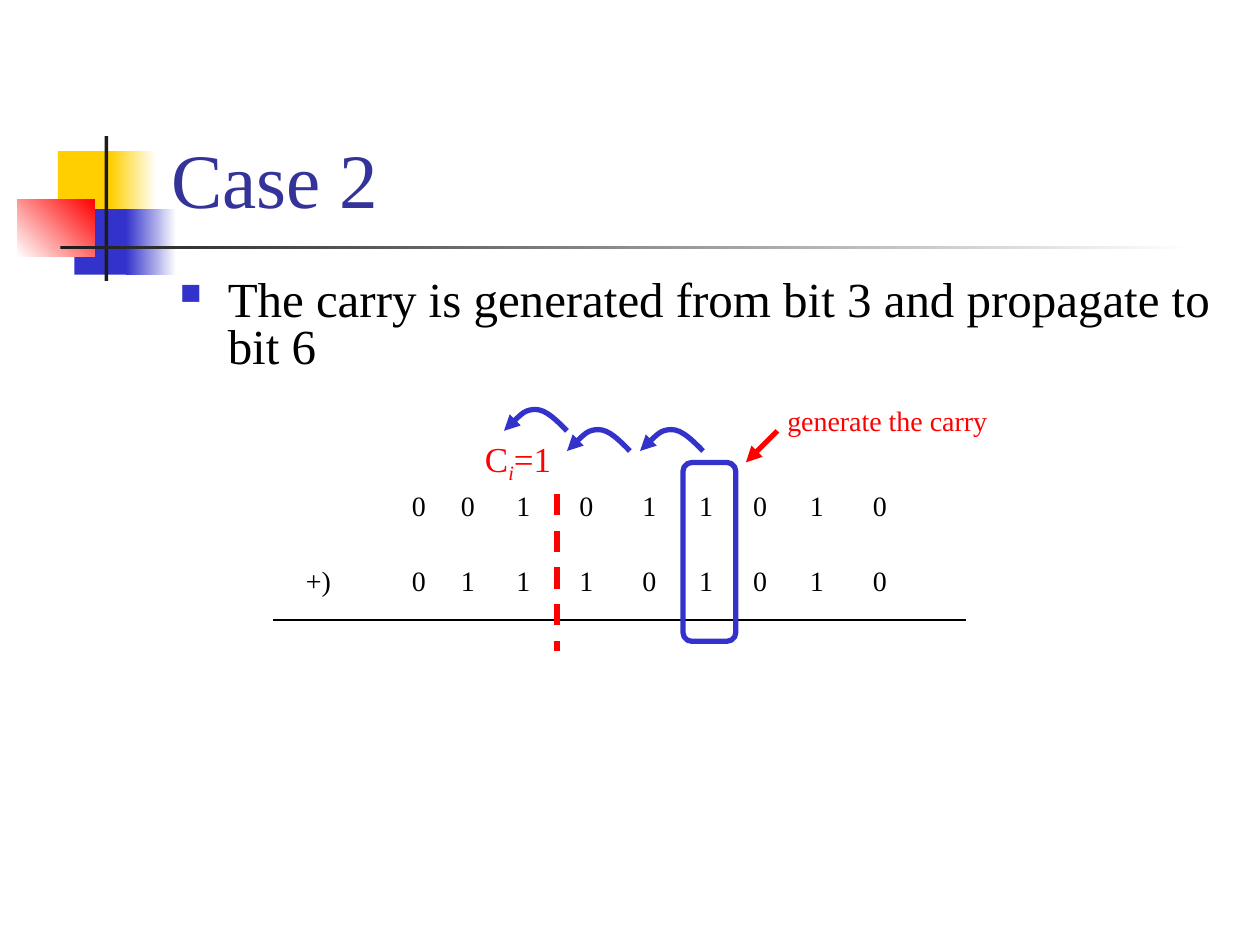
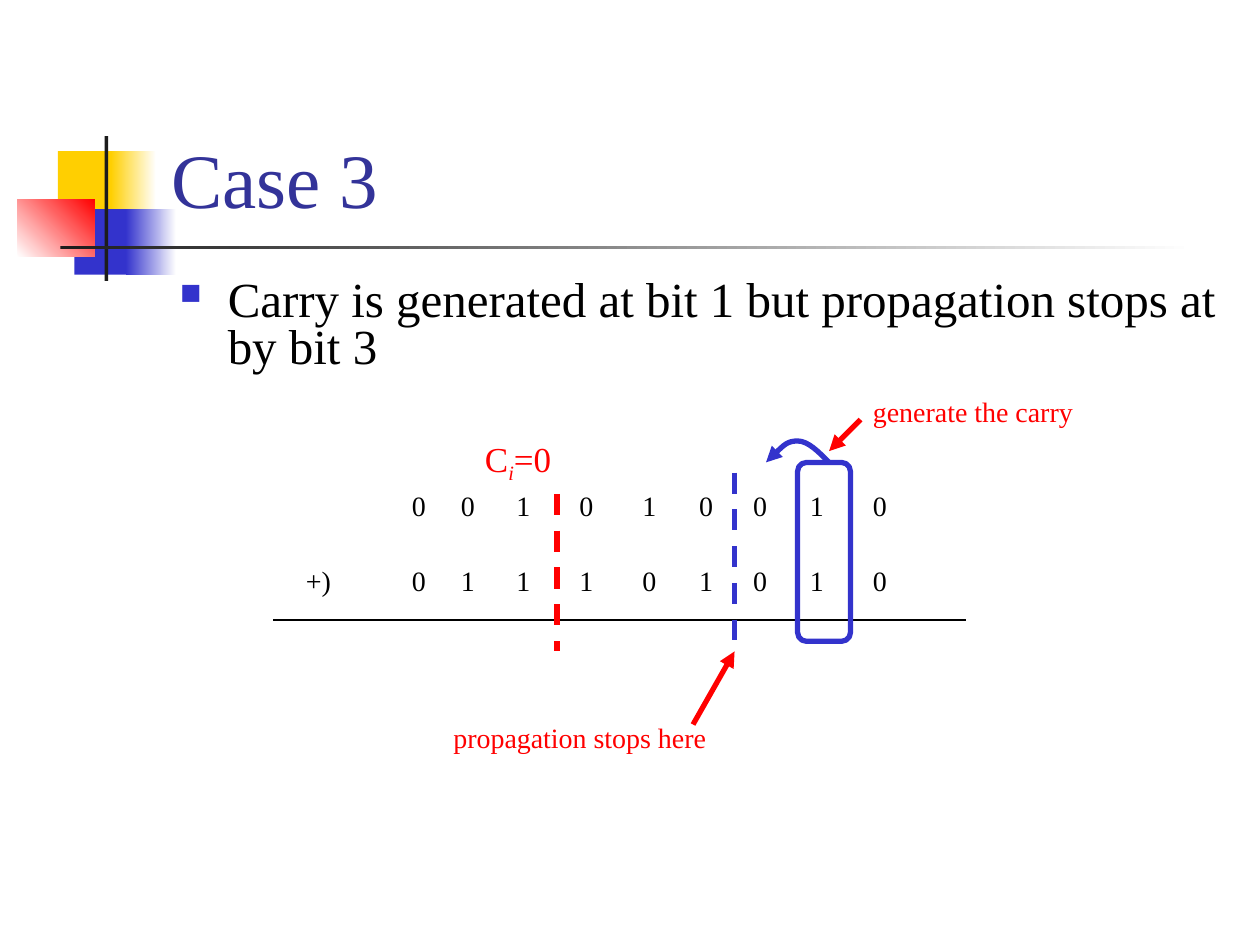
"""Build two slides that trace carry propagation through a binary addition."""
import dataclasses

import lxml.etree
import pptx
import pptx.dml.color
import pptx.enum.dml
import pptx.enum.shapes
import pptx.enum.text
import pptx.oxml.ns
import pptx.util

Inches = pptx.util.Inches
qn = pptx.oxml.ns.qn
SHAPES = pptx.enum.shapes.MSO_SHAPE

FONT = "Times New Roman"
BLUE, RED, YELLOW = "3333CC", "FF0000", "FFCF01"
NAVY, BLACK, CHARCOAL, WHITE = "333399", "000000", "1C1C1C", "FFFFFF"
DIGIT_TABS = (0.39, 0.83, 1.33, 1.83, 2.28, 2.71, 3.16, 3.66)
CARRY_LABEL = "generate the carry"


@dataclasses.dataclass(frozen=True)
class Band:
    """A decorative rectangle, plain or fading into a second colour."""
    left: float
    top: float
    width: float
    height: float
    color: str
    fade: str = ""
    angle: float = 0


@dataclasses.dataclass(frozen=True)
class Stroke:
    """A straight line, optionally dashed or ending in an arrowhead."""
    x1: float
    y1: float
    x2: float
    y2: float
    color: str = RED
    width: float = 3
    dashed: bool = False
    arrow: bool = False


@dataclasses.dataclass(frozen=True)
class Label:
    """A line of text at a given place."""
    left: float
    top: float
    width: float
    text: str
    color: str = RED


@dataclasses.dataclass(frozen=True)
class Hop:
    """A curved arrow that carries one bit to the left."""
    right: float
    bottom: float


@dataclasses.dataclass(frozen=True)
class Case:
    """The content of one slide."""
    title: str
    statement: str
    first_operand: str
    carry_value: str
    generator_left: float
    hops: tuple[Hop, ...]
    strokes: tuple[Stroke, ...]
    labels: tuple[Label, ...]


BANDS = (
    Band(0.46, 1.2, 0.48, 0.52, YELLOW),
    Band(0.88, 1.2, 0.36, 0.52, YELLOW, WHITE),
    Band(0.59, 1.66, 0.46, 0.52, BLUE),
    Band(1, 1.66, 0.4, 0.52, BLUE, WHITE),
    Band(0.14, 1.58, 0.61, 0.46, WHITE, RED, 45),
    Band(0.83, 1.08, 0.03, 1.15, CHARCOAL),
    Band(0.48, 1.95, 9, 0.03, CHARCOAL, WHITE),
)
SECOND_OPERAND = "011101010"
SUM_LINE = Stroke(2.17, 4.92, 7.67, 4.92, BLACK, 0.75)
CARRY_BOUNDARY = Stroke(4.42, 3.92, 4.42, 5.17, dashed=True)

CASES = (
    Case("Case 2", "The carry is generated from bit 3 and propagate to bit 6",
         "001011010", "1", 5.42,
         (Hop(5.58, 3.58), Hop(5, 3.58), Hop(4.5, 3.42)),
         (Stroke(6.17, 3.42, 5.92, 3.67, arrow=True),),
         (Label(6.15, 3.15, 1.9, CARRY_LABEL),)),
    Case("Case 3", "Carry is generated at bit 1 but propagation stops at by bit 3",
         "001010010", "0", 6.33,
         (Hop(6.58, 3.67),),
         (Stroke(6.83, 3.33, 6.58, 3.58, arrow=True),
          Stroke(5.83, 3.75, 5.83, 5.08, BLUE, dashed=True),
          Stroke(5.5, 5.75, 5.83, 5.17, arrow=True)),
         (Label(6.83, 3.08, 1.9, CARRY_LABEL),
          Label(3.5, 5.67, 2.3, "propagation stops here"))),
)


def rgb(color: str) -> pptx.dml.color.RGBColor:
    """Turn a hex string into a colour."""
    return pptx.dml.color.RGBColor.from_string(color)


def add_child(parent, tag: str, **attributes: str):
    """Append a DrawingML element."""
    return lxml.etree.SubElement(parent, qn(tag), attributes)


def set_font(para, size: float, color: str) -> None:
    """Set the font of a whole paragraph."""
    para.font.name = FONT
    para.font.size = pptx.util.Pt(size)
    para.font.color.rgb = rgb(color)


def set_line(shape, color: str, width: float = 3, arrow: bool = False) -> None:
    """Style an outline and its arrowhead."""
    shape.line.color.rgb = rgb(color)
    shape.line.width = pptx.util.Pt(width)
    if arrow:
        add_child(shape._element.spPr.find(qn("a:ln")), "a:tailEnd", type="triangle")


def add_box(page, left: float, top: float, width: float, height: float):
    """Add a wrapping text box and return its frame."""
    frame = page.shapes.add_textbox(
        Inches(left), Inches(top), Inches(width), Inches(height)).text_frame
    frame.word_wrap = True
    return frame


def draw_band(page, band: Band) -> None:
    """Draw one decorative rectangle."""
    shape = page.shapes.add_shape(
        SHAPES.RECTANGLE, Inches(band.left), Inches(band.top),
        Inches(band.width), Inches(band.height))
    shape.shadow.inherit = False
    shape.line.fill.background()
    if band.fade:
        shape.fill.gradient()
        shape.fill.gradient_angle = band.angle
        for stop, position, color in zip(
                shape.fill.gradient_stops, (0, 1), (band.color, band.fade)):
            stop.position = position
            stop.color.rgb = rgb(color)
    else:
        shape.fill.solid()
        shape.fill.fore_color.rgb = rgb(band.color)


def draw_stroke(page, stroke: Stroke) -> None:
    """Draw one straight line."""
    line = page.shapes.add_connector(
        pptx.enum.shapes.MSO_CONNECTOR.STRAIGHT, Inches(stroke.x1),
        Inches(stroke.y1), Inches(stroke.x2), Inches(stroke.y2))
    if stroke.dashed:
        line.line.dash_style = pptx.enum.dml.MSO_LINE.DASH
    set_line(line, stroke.color, stroke.width, stroke.arrow)
    add_child(line._element.spPr, "a:effectLst")


def draw_label(page, label: Label) -> None:
    """Draw one line of text."""
    para = add_box(page, label.left, label.top, label.width, 0.37).paragraphs[0]
    para.text = label.text
    set_font(para, 16, label.color)


def draw_hop(page, hop: Hop, width: float = 0.5, height: float = 0.17) -> None:
    """Draw a curved arrow as two Bézier segments."""
    rises = (0, 0.5, 1, 1, 1, 0.5, 0)
    points = [(Inches(hop.right - width * step / 6), Inches(hop.bottom - height * rise))
              for step, rise in enumerate(rises)]
    builder = page.shapes.build_freeform(*points[0])
    builder.add_line_segments(points[1:], close=False)
    arc = builder.convert_to_shape()
    outline = next(arc._element.iter(qn("a:path")))
    segments = outline.findall(qn("a:lnTo"))
    for triple in (segments[:3], segments[3:]):
        curve = add_child(outline, "a:cubicBezTo")
        for segment in triple:
            curve.append(segment[0])
            outline.remove(segment)
    arc.shadow.inherit = False
    arc.fill.background()
    set_line(arc, BLUE, arrow=True)


def draw_digits(page, top: float, digits: str) -> None:
    """Draw one operand with its digits on shared tab stops."""
    para = add_box(page, 3.17, top, 4.1, 0.37).paragraphs[0]
    para.text = "\t".join(digits)
    stops = add_child(para._p.get_or_add_pPr(), "a:tabLst")
    for position in DIGIT_TABS:
        add_child(stops, "a:tab", pos=str(Inches(position)), algn="l")
    set_font(para, 16, BLACK)


def draw_heading(page, case: Case) -> None:
    """Draw the title and the bulleted statement."""
    frame = add_box(page, 1.26, 0.23, 8.52, 1.6)
    frame.vertical_anchor = pptx.enum.text.MSO_ANCHOR.BOTTOM
    frame.text = case.title
    set_font(frame.paragraphs[0], 44, NAVY)

    para = add_box(page, 1.33, 2.17, 8.5, 0.92).paragraphs[0]
    para.text = case.statement
    para.line_spacing = 0.8
    properties = para._p.get_or_add_pPr()
    properties.set("marL", str(Inches(0.38)))
    properties.set("indent", str(Inches(-0.38)))
    add_child(add_child(properties, "a:buClr"), "a:srgbClr", val=BLUE)
    add_child(properties, "a:buSzPct", val="60000")
    add_child(properties, "a:buChar", char="■")
    set_font(para, 28, BLACK)


def draw_carry_value(page, value: str) -> None:
    """Draw the carry symbol with its subscript."""
    para = add_box(page, 3.75, 3.42, 0.83, 0.43).paragraphs[0]
    set_font(para, 20, RED)
    for text in ("C", "i", f"={value}"):
        span = para.add_run()
        span.text = text
        if text == "i":
            span.font.italic = True
            span._r.get_or_add_rPr().set("baseline", "-25000")


def draw_generator(page, left: float) -> None:
    """Frame the bit pair that generates the carry."""
    frame = page.shapes.add_shape(
        SHAPES.ROUNDED_RECTANGLE, Inches(left), Inches(3.67), Inches(0.42), Inches(1.42))
    frame.adjustments[0] = 0.17
    frame.shadow.inherit = False
    frame.fill.background()
    set_line(frame, BLUE)


def draw_case(page, case: Case) -> None:
    """Draw one whole slide."""
    for band in BANDS:
        draw_band(page, band)
    draw_heading(page, case)
    draw_digits(page, 3.83, case.first_operand)
    draw_digits(page, 4.42, SECOND_OPERAND)
    draw_label(page, Label(2.33, 4.42, 0.5, "+)", BLACK))
    draw_carry_value(page, case.carry_value)
    for stroke in (SUM_LINE, CARRY_BOUNDARY, *case.strokes):
        draw_stroke(page, stroke)
    draw_generator(page, case.generator_left)
    for label in case.labels:
        draw_label(page, label)
    for hop in case.hops:
        draw_hop(page, hop)


def main() -> None:
    """Build and save the deck."""
    deck = pptx.Presentation()
    deck.slide_width, deck.slide_height = Inches(10), Inches(7.5)
    for case in CASES:
        draw_case(deck.slides.add_slide(deck.slide_layouts[6]), case)
    deck.save("out.pptx")


if __name__ == "__main__":
    main()
